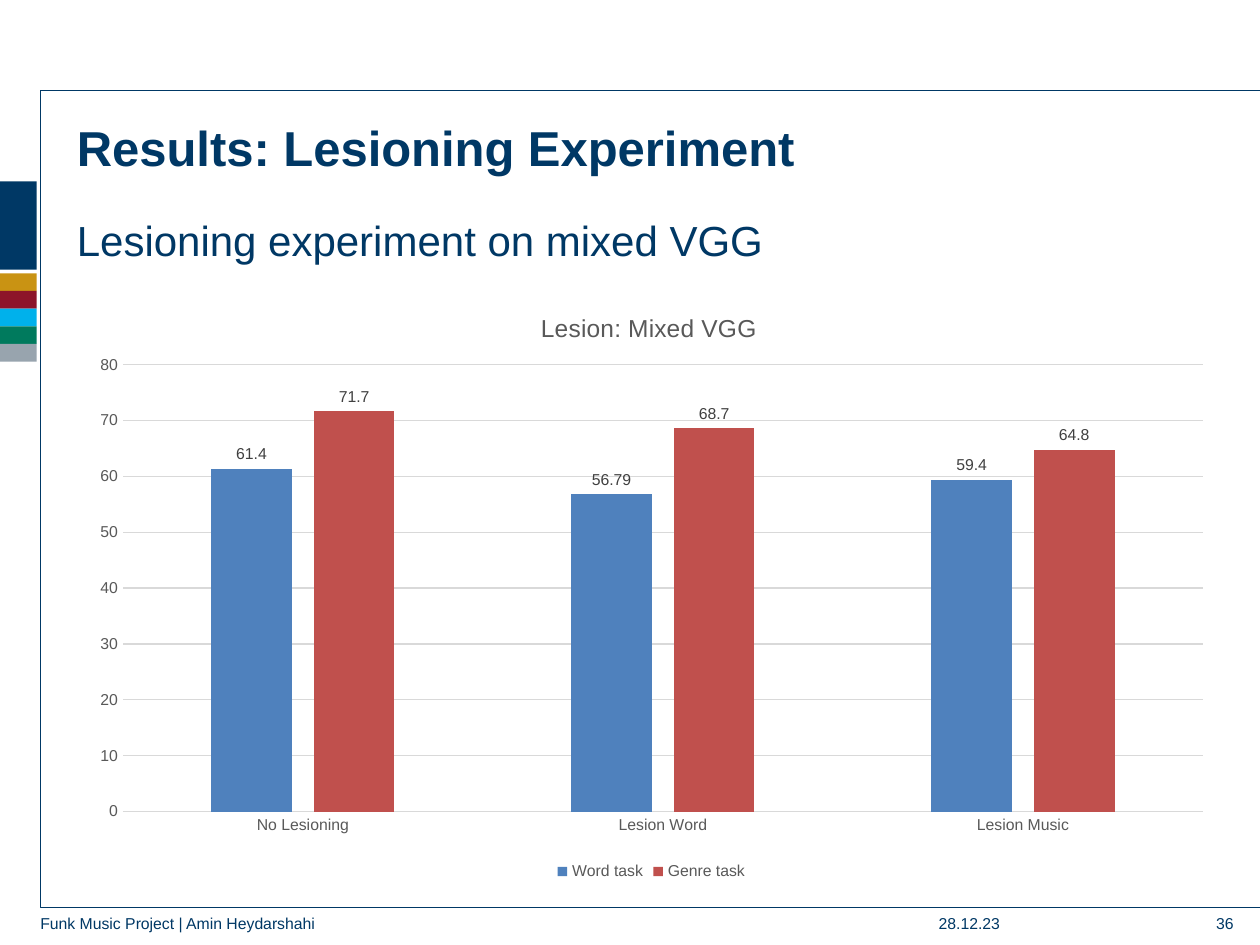
import dataclasses

import lxml.etree
import pptx
import pptx.chart.data
import pptx.dml.color
import pptx.enum.chart
import pptx.enum.shapes
import pptx.enum.text
import pptx.oxml.ns
import pptx.util

Inches = pptx.util.Inches
Pt = pptx.util.Pt
RGBColor = pptx.dml.color.RGBColor
Align = pptx.enum.text.PP_ALIGN
qn = pptx.oxml.ns.qn

NAVY = RGBColor(0x00, 0x38, 0x65)
GOLD = RGBColor(0xC9, 0x93, 0x13)
WINE = RGBColor(0x8D, 0x14, 0x29)
SKY = RGBColor(0x00, 0xB1, 0xEB)
GREEN = RGBColor(0x00, 0x7A, 0x5D)
STEEL = RGBColor(0x98, 0xA4, 0xAE)
BLUE = RGBColor(0x4F, 0x81, 0xBD)
RED = RGBColor(0xC0, 0x50, 0x4D)
DARK = RGBColor(0x40, 0x40, 0x40)
GRAY = RGBColor(0x59, 0x59, 0x59)
PALE = RGBColor(0xD9, 0xD9, 0xD9)
FACE = "Arial"


@dataclasses.dataclass
class Label:
    text: str
    left: float
    top: float
    width: float
    height: float
    size: int = 9
    bold: bool = False
    align: Align = Align.LEFT


@dataclasses.dataclass
class Band:
    top: float
    height: float
    color: RGBColor


@dataclasses.dataclass
class Task:
    name: str
    scores: tuple[float, ...]
    color: RGBColor


BAND_STEP = 0.14
BANDS = [Band(1.44, 0.7, NAVY)] + [
    Band(2.17 + i * BAND_STEP, BAND_STEP, color)
    for i, color in enumerate((GOLD, WINE, SKY, GREEN, STEEL))
]
LABELS = [
    Label("28.12.23", 7.45, 7.25, 1.18, 0.21),
    Label("36", 9, 7.25, 0.79, 0.21, align=Align.RIGHT),
    Label("Funk Music Project | Amin Heydarshahi", 0.32, 7.25, 6.69, 0.21),
    Label("Results: Lesioning Experiment", 0.61, 0.93, 9.12, 0.77, 28, True),
    Label("Lesioning experiment on mixed VGG", 0.61, 1.7, 9.12, 0.55, 24),
]
GROUPS = ("No Lesioning", "Lesion Word", "Lesion Music")
TASKS = [
    Task("Word task", (61.4, 56.79, 59.4), BLUE),
    Task("Genre task", (71.7, 68.7, 64.8), RED),
]


def set_font(font, size: float, color: RGBColor, bold: bool = False) -> None:
    font.name = FACE
    font.size = Pt(size)
    font.bold = bold
    font.color.rgb = color


def set_line(line, color: RGBColor) -> None:
    line.color.rgb = color
    line.width = Pt(0.75)


def draw_band(slide, band: Band) -> None:
    shape = slide.shapes.add_shape(
        pptx.enum.shapes.MSO_SHAPE.RECTANGLE,
        Inches(0), Inches(band.top), Inches(0.29), Inches(band.height),
    )
    shape.shadow.inherit = False
    shape.fill.solid()
    shape.fill.fore_color.rgb = band.color
    shape.line.fill.background()


def draw_frame(slide) -> None:
    left, right, top, base = (Inches(n) for n in (0.32, 10, 0.72, 7.2))
    pen = slide.shapes.build_freeform(right, top)
    pen.add_line_segments([(left, top), (left, base), (right, base)], close=False)
    frame = pen.convert_to_shape()
    frame.shadow.inherit = False
    frame.fill.background()
    set_line(frame.line, NAVY)


def draw_label(slide, label: Label) -> None:
    box = slide.shapes.add_textbox(
        Inches(label.left), Inches(label.top),
        Inches(label.width), Inches(label.height),
    )
    frame = box.text_frame
    frame.word_wrap = True
    frame.margin_left = frame.margin_right = Inches(0)
    frame.margin_top = frame.margin_bottom = Inches(0)
    line = frame.paragraphs[0]
    line.alignment = label.align
    run = line.add_run()
    run.text = label.text
    set_font(run.font, label.size, NAVY, label.bold)


def place(part, index: int, **rule: str | float) -> None:
    for old in part.findall(qn("c:layout")):
        part.remove(old)
    layout = lxml.etree.Element(qn("c:layout"))
    manual = lxml.etree.SubElement(layout, qn("c:manualLayout"))
    for name, value in rule.items():
        lxml.etree.SubElement(manual, qn(f"c:{name}")).set("val", str(value))
    part.insert(index, layout)


def draw_chart(slide) -> None:
    data = pptx.chart.data.CategoryChartData()
    data.categories = GROUPS
    for task in TASKS:
        data.add_series(task.name, task.scores)
    chart = slide.shapes.add_chart(
        pptx.enum.chart.XL_CHART_TYPE.COLUMN_CLUSTERED,
        Inches(0.61), Inches(2.25), Inches(9.12), Inches(4.78), data,
    ).chart
    set_font(chart.font, 10, RGBColor(0, 0, 0))

    chart.has_title = True
    title = chart.chart_title
    run = title.text_frame.paragraphs[0].add_run()
    run.text = "Lesion: Mixed VGG"
    set_font(run.font, 14, GRAY)
    title.include_in_layout = False
    place(title._element, 1, xMode="edge", yMode="edge", x=0.4, y=0.04)

    chart.has_legend = True
    chart.legend.position = pptx.enum.chart.XL_LEGEND_POSITION.BOTTOM
    chart.legend.include_in_layout = False
    set_font(chart.legend.font, 9, GRAY)

    for axis in (chart.category_axis, chart.value_axis):
        axis.major_tick_mark = pptx.enum.chart.XL_TICK_MARK.NONE
        axis.minor_tick_mark = pptx.enum.chart.XL_TICK_MARK.NONE
        set_font(axis.tick_labels.font, 9, GRAY)
    set_line(chart.category_axis.format.line, PALE)
    scale = chart.value_axis
    scale.minimum_scale, scale.maximum_scale, scale.major_unit = 0, 80, 10
    scale.format.line.fill.background()
    scale.has_major_gridlines = True
    set_line(scale.major_gridlines.format.line, PALE)

    plot = chart.plots[0]
    plot.gap_width, plot.overlap = 219, -27
    plot.vary_by_categories = False
    place(
        plot._element.getparent(), 0, layoutTarget="inner",
        xMode="edge", yMode="edge", x=0.04, y=0.135, w=0.94, h=0.742,
    )
    for bars, task in zip(plot.series, TASKS):
        bars.format.fill.solid()
        bars.format.fill.fore_color.rgb = task.color
        marks = bars.data_labels
        marks.show_value = True
        marks.position = pptx.enum.chart.XL_LABEL_POSITION.OUTSIDE_END
        set_font(marks.font, 9, DARK)


def main() -> None:
    deck = pptx.Presentation()
    deck.slide_width, deck.slide_height = Inches(10), Inches(7.5)
    slide = deck.slides.add_slide(deck.slide_layouts[6])
    for band in BANDS:
        draw_band(slide, band)
    draw_frame(slide)
    for label in LABELS:
        draw_label(slide, label)
    draw_chart(slide)
    deck.save("out.pptx")


if __name__ == "__main__":
    main()
